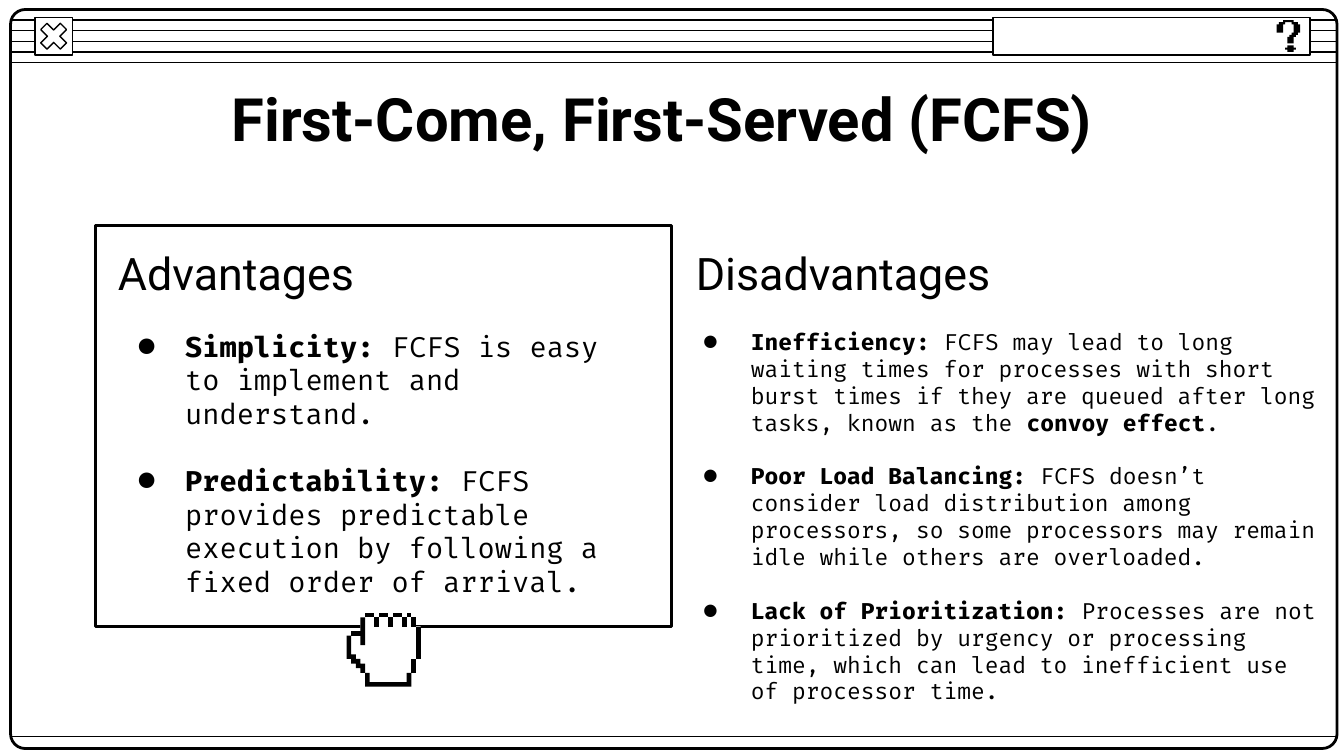
from lxml import etree
from pptx import Presentation
from pptx.dml.color import RGBColor
from pptx.enum.shapes import MSO_CONNECTOR, MSO_SHAPE
from pptx.enum.text import MSO_ANCHOR, MSO_AUTO_SIZE, PP_ALIGN
from pptx.oxml.ns import qn
from pptx.util import Cm, Pt

BLACK = RGBColor(0x00, 0x00, 0x00)
WHITE = RGBColor(0xFF, 0xFF, 0xFF)
HEADING_FONT, BODY_FONT = "Roboto", "Fira Code"
LEFT, CENTER = PP_ALIGN.LEFT, PP_ALIGN.CENTER
MIDDLE, NO_FIT = MSO_ANCHOR.MIDDLE, MSO_AUTO_SIZE.NONE
STRAIGHT = MSO_CONNECTOR.STRAIGHT
RECTANGLE, ROUNDED = MSO_SHAPE.RECTANGLE, MSO_SHAPE.ROUNDED_RECTANGLE
CROSS = MSO_SHAPE.MATH_MULTIPLY
THIN, THICK = Pt(0.75), Pt(1.5)
COMPARISON_LAYOUT = 4

# Each entry is a list of (text, bold) spans
ADVANTAGES = [
    [("Simplicity: ", True), ("FCFS is easy to implement and understand.", False)],
    [("Predictability: ", True),
     ("FCFS provides predictable execution by following a fixed order of arrival.", False)],
]
DISADVANTAGES = [
    [("Inefficiency: ", True),
     ("FCFS may lead to long waiting times for processes with short burst times "
      "if they are queued after long tasks, known as the ", False),
     ("convoy effect", True), (".", False)],
    [("Poor Load Balancing: ", True),
     ("FCFS doesn’t consider load distribution among processors, "
      "so some processors may remain idle while others are overloaded.", False)],
    [("Lack of Prioritization: ", True),
     ("Processes are not prioritized by urgency or processing time, "
      "which can lead to inefficient use of processor time.", False)],
]

# Pixel icons: outlines in whole pixels
MARK_HOOK = [(3, 0), (3, 1), (1, 1), (1, 2), (0, 2), (0, 6), (3, 6), (3, 2), (4, 2),
             (4, 1), (7, 1), (7, 2), (8, 2), (8, 6), (7, 6), (7, 7), (6, 7), (6, 8),
             (5, 8), (5, 11), (8, 11), (8, 8), (9, 8), (9, 7), (10, 7), (10, 6),
             (11, 6), (11, 2), (10, 2), (10, 1), (8, 1), (8, 0)]
MARK_DOT = [(5, 12), (5, 13), (4, 13), (4, 14), (5, 14), (5, 15), (8, 15), (8, 14),
            (9, 14), (9, 13), (8, 13), (8, 12)]
HAND_FILL = [(4, 0), (4, 1), (3, 1), (3, 4), (1, 4), (1, 5), (0, 5), (0, 10), (1, 10),
             (1, 11), (2, 11), (2, 12), (3, 12), (3, 13), (4, 13), (4, 16), (14, 16),
             (14, 13), (15, 13), (15, 10), (16, 10), (16, 3), (15, 3), (15, 1), (14, 1),
             (14, 0), (13, 0), (13, 1), (12, 1), (12, 0), (10, 0), (10, 1), (9, 1),
             (9, 0), (7, 0), (7, 1), (6, 1), (6, 0)]
HAND_THUMB = [(3, 1), (3, 4), (1, 4), (1, 5), (3, 5), (3, 7), (4, 7), (4, 1)]
HAND_PALM = [(0, 5), (0, 10), (1, 10), (1, 11), (2, 11), (2, 12), (3, 12), (3, 13),
             (4, 13), (4, 11), (3, 11), (3, 10), (2, 10), (2, 9), (1, 9), (1, 5)]
HAND_WRIST = [(4, 13), (4, 16), (14, 16), (14, 13), (13, 13), (13, 15), (5, 15), (5, 13)]
# Straight strokes of the hand: left, top, width, height
HAND_BARS = [(14, 1, 1, 2), (12, 1, 1, 2), (9, 1, 1, 2), (6, 1, 1, 2), (15, 3, 1, 7),
             (14, 10, 1, 3), (4, 0, 2, 1), (7, 0, 2, 1), (10, 0, 2, 1), (13, 0, 1, 1)]


def add_line(shapes, left, right, y):
    line = shapes.add_connector(STRAIGHT, left, y, right, y)
    line.line.color.rgb = BLACK
    line.line.width = THIN
    etree.SubElement(line._element.spPr, qn("a:effectLst"))


def add_outlined(shapes, kind, box, width, fill=None):
    shape = shapes.add_shape(kind, *box)
    shape.shadow.inherit = False
    if fill is None:
        shape.fill.background()
    else:
        shape.fill.solid()
        shape.fill.fore_color.rgb = fill
    shape.line.color.rgb = BLACK
    shape.line.width = width
    return shape


def add_pixel_icon(shapes, left, top, pixel, parts):
    icon = shapes.add_group_shape()
    for outline, color in parts:
        builder = icon.shapes.build_freeform(*outline[0], scale=pixel)
        builder.add_line_segments(outline[1:], close=True)
        shape = builder.convert_to_shape(left, top)
        shape.shadow.inherit = False
        shape.fill.solid()
        shape.fill.fore_color.rgb = color
        shape.line.fill.background()


def add_window(shapes, left, top, width, height):
    right = left + width
    # Title bar stripes, frame and status line
    for row in range(5):
        add_line(shapes, left, right, top + Cm(0.2) + row * Cm(0.2))
    frame = add_outlined(shapes, ROUNDED, (left, top, width, height), THICK)
    frame.adjustments[0] = 0.02
    add_line(shapes, left, right, top + height - Cm(0.23))
    # Close button
    button = (left + Cm(0.46), top + Cm(0.15), Cm(0.71), Cm(0.71))
    add_outlined(shapes, RECTANGLE, button, THIN, WHITE)
    cross = add_outlined(shapes, CROSS, button, THIN, WHITE)
    cross.adjustments[0] = 0.235
    # Help field
    field = (right - Cm(6.5), top + Cm(0.15), Cm(5.99), Cm(0.71))
    add_outlined(shapes, RECTANGLE, field, THIN, WHITE)
    add_pixel_icon(shapes, right - Cm(1.14), top + Cm(0.2), Cm(0.04),
                   [(MARK_DOT, BLACK), (MARK_HOOK, BLACK)])


def add_hand(shapes, left, top, size):
    bars = [[(x, y), (x, y + h), (x + w, y + h), (x + w, y)] for x, y, w, h in HAND_BARS]
    strokes = [HAND_THUMB, HAND_PALM, HAND_WRIST] + bars
    add_pixel_icon(shapes, left, top, size / 16,
                   [(HAND_FILL, WHITE)] + [(stroke, BLACK) for stroke in strokes])


def place_text(holder, box):
    holder.left, holder.top, holder.width, holder.height = box
    frame = holder.text_frame
    frame.word_wrap = True
    frame.auto_size = NO_FIT
    frame.vertical_anchor = MIDDLE
    frame.margin_left = frame.margin_right = Cm(0.25)
    frame.margin_top = frame.margin_bottom = Cm(0.25)
    return frame


def format_para(para, font, size, align=LEFT, bold=None):
    para.alignment = align
    para.line_spacing = 1.0
    para.space_before = para.space_after = Pt(0)
    para.font.name = font
    para.font.size = Pt(size)
    para.font.color.rgb = BLACK
    para.font.bold = bold


def fill_heading(holder, box, text, size, align=LEFT, bold=False):
    para = place_text(holder, box).paragraphs[0]
    span = para.add_run()
    span.text = text
    span.font.bold = bold
    format_para(para, HEADING_FONT, size, align, bold)


def add_bullet(para):
    props = para._p.get_or_add_pPr()
    props.set("marL", str(Cm(1.27)))
    props.set("indent", str(-Cm(0.89)))
    color = etree.SubElement(props, qn("a:buClr"))
    etree.SubElement(color, qn("a:srgbClr"), val=str(BLACK))
    etree.SubElement(props, qn("a:buFont"), typeface=BODY_FONT)
    etree.SubElement(props, qn("a:buChar"), char="●")


def fill_list(holder, box, entries, size):
    frame = place_text(holder, box)
    for index, entry in enumerate(entries):
        para = frame.add_paragraph() if index else frame.paragraphs[0]
        add_bullet(para)
        format_para(para, BODY_FONT, size)
        if index:
            para.space_before = Pt(1.2 * size)  # one line of the list
        for text, bold in entry:
            span = para.add_run()
            span.text = text
            span.font.bold = bold


def main():
    deck = Presentation()
    deck.slide_width, deck.slide_height = Cm(25.4), Cm(14.29)
    page = deck.slides.add_slide(deck.slide_layouts[COMPARISON_LAYOUT])
    title, left_head, left_list, right_head, right_list = page.placeholders

    add_window(page.shapes, Cm(0.2), Cm(0.18), Cm(25.07), Cm(13.97))
    fill_heading(title, (Cm(2.69), Cm(1.32), Cm(19.66), Cm(1.8)),
                 "First-Come, First-Served (FCFS)", 32, CENTER, True)

    # Advantages, in a panel held by the hand
    add_outlined(page.shapes, RECTANGLE, (Cm(1.8), Cm(4.27), Cm(10.9), Cm(7.57)), THICK)
    fill_heading(left_head, (Cm(1.98), Cm(4.45), Cm(10.52), Cm(1.4)), "Advantages", 24)
    fill_list(left_list, (Cm(1.98), Cm(5.84), Cm(10.52), Cm(5.84)), ADVANTAGES, 15)
    add_hand(page.shapes, Cm(6.55), Cm(11.58), Cm(1.4))

    # Disadvantages
    fill_heading(right_head, (Cm(12.9), Cm(4.45), Cm(10.52), Cm(1.4)), "Disadvantages", 24)
    fill_list(right_list, (Cm(12.67), Cm(6.05), Cm(12.55), Cm(7.42)), DISADVANTAGES, 12)

    deck.save("out.pptx")


if __name__ == "__main__":
    main()
